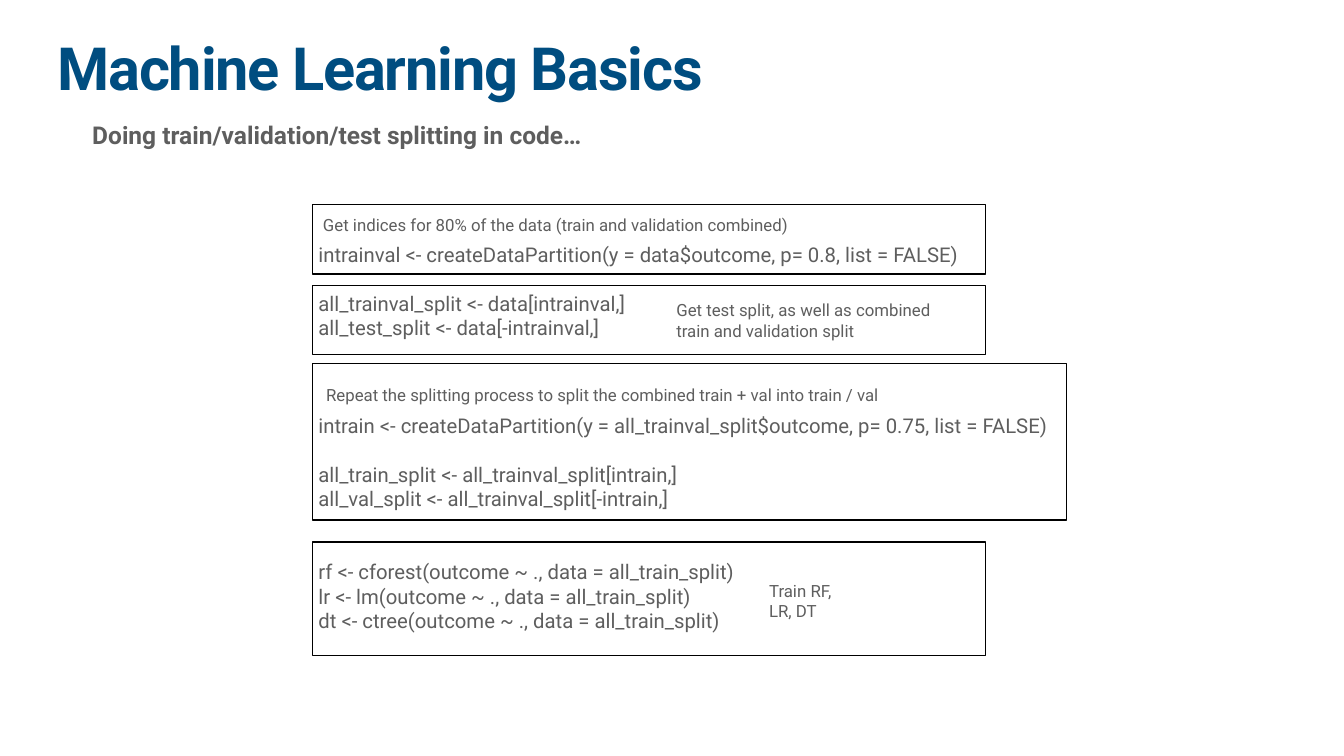
import pptx
import pptx.util
import pptx.dml.color
import pptx.enum.shapes
import pptx.enum.text

NAVY = pptx.dml.color.RGBColor(0x00, 0x4D, 0x80)
GREY = pptx.dml.color.RGBColor(0x5E, 0x5E, 0x5E)
BLACK = pptx.dml.color.RGBColor(0x00, 0x00, 0x00)

SLIDE_WIDTH = pptx.util.Inches(26.67)
SLIDE_HEIGHT = pptx.util.Inches(15)
COLUMN = SLIDE_WIDTH / 100
ROW = SLIDE_HEIGHT / 100
INSET = pptx.util.Inches(0.06)
CODE_LINE = pptx.util.Pt(34.9)

TITLE_FONT = {"name": "Roboto", "size": pptx.util.Pt(85), "bold": True}
SUBTITLE_FONT = {"name": "Roboto", "size": pptx.util.Pt(35), "bold": True}
NOTE_FONT = {"name": "Roboto", "size": pptx.util.Pt(24), "bold": False}
CODE_FONT = {"name": "Roboto", "size": pptx.util.Pt(29), "bold": False}

TITLE_BOX = (4.05, 5.53, 90.1, 10.47)
SUBTITLE_BOX = (6.64, 15.47, 84.89, 4.6)
STEPS_BOX = (23.25, 27.07, 56.09, 59.67)
NARROW = 50.09

STEPS = [
    ((0, NARROW, 9.2), (0.56, 1, 41.54, 3.33),
     "Get indices for 80% of the data (train and validation combined)"),
    ((10.66, NARROW, 9.2), (26.85, 1.6, 20.02, 6.07),
     "Get test split, as well as combined train and validation split"),
    ((21, 56.09, 20.73), (0.79, 2.47, 45.48, 3.33),
     "Repeat the splitting process to split the combined train + val into train / val"),
    ((44.6, NARROW, 15.07), (33.75, 4.8, 6.19, 6.07), "Train RF, LR, DT"),
]

CODE = [
    (0, ["intrainval <- createDataPartition(y = data$outcome, p= 0.8, list = FALSE)"]),
    (1, ["all_trainval_split <- data[intrainval,]",
         "all_test_split <- data[-intrainval,]"]),
    (3, ["intrain <- createDataPartition(y = all_trainval_split$outcome, p= 0.75, list = FALSE)"]),
    (1, ["all_train_split <- all_trainval_split[intrain,]",
         "all_val_split <- all_trainval_split[-intrain,]"]),
    (2, ["rf <- cforest(outcome ~ ., data = all_train_split)",
         "lr <- lm(outcome ~ ., data = all_train_split)",
         "dt <- ctree(outcome ~ ., data = all_train_split)"]),
]


def on_grid(box):
    left, top, width, height = box
    return [round(n) for n in (left * COLUMN, top * ROW, width * COLUMN, height * ROW)]


def set_all(target, values):
    for key, value in values.items():
        setattr(target, key, value)


def set_frame(frame, anchor, fit, wrap=True):
    set_all(frame, {"margin_left": INSET, "margin_right": INSET,
                    "margin_top": INSET, "margin_bottom": INSET,
                    "vertical_anchor": anchor, "auto_size": fit, "word_wrap": wrap})


def write(paragraph, text, font, color):
    run = paragraph.add_run()
    run.text = text
    set_all(run.font, font)
    run.font.color.rgb = color
    return run


def add_text_frame(slide, box, wrap=True):
    frame = slide.shapes.add_textbox(*on_grid(box)).text_frame
    set_frame(frame, pptx.enum.text.MSO_ANCHOR.MIDDLE,
              pptx.enum.text.MSO_AUTO_SIZE.SHAPE_TO_FIT_TEXT, wrap)
    return frame


def add_label(slide, box, text, font):
    write(add_text_frame(slide, box).paragraphs[0], text, font, GREY)


def place_title(slide, box):
    title = slide.shapes.title
    title.left, title.top, title.width, title.height = on_grid(box)
    set_frame(title.text_frame, pptx.enum.text.MSO_ANCHOR.TOP,
              pptx.enum.text.MSO_AUTO_SIZE.NONE)
    heading = title.text_frame.paragraphs[0]
    set_all(heading, {"alignment": pptx.enum.text.PP_ALIGN.LEFT, "line_spacing": 0.8})
    run = write(heading, "Machine Learning Basics", TITLE_FONT, NAVY)
    run.font._element.set("spc", "-170")


def add_card(slide, box):
    card = slide.shapes.add_shape(pptx.enum.shapes.MSO_SHAPE.RECTANGLE, *on_grid(box))
    card.shadow.inherit = False
    card.fill.background()
    card.line.color.rgb = BLACK
    card.line.width = pptx.util.Pt(2)


def add_code(slide, box):
    frame = add_text_frame(slide, box, wrap=False)
    paragraph = frame.paragraphs[0]
    for gap, lines in CODE:
        for number, line in enumerate(lines):
            if paragraph.runs:
                paragraph = frame.add_paragraph()
            if gap and number == 0:
                paragraph.space_before = gap * CODE_LINE
            write(paragraph, line, CODE_FONT, GREY)


def add_steps(slide, box):
    left, top, width, height = box
    add_code(slide, (left + 0.22, top + 4.53, width - 0.45, height - 7.14))
    for (card_row, card_width, card_height), (dx, dy, note_width, note_height), note in STEPS:
        card_top = top + card_row
        add_card(slide, (left, card_top, card_width, card_height))
        add_label(slide, (left + dx, card_top + dy, note_width, note_height), note, NOTE_FONT)


def main():
    deck = pptx.Presentation()
    deck.slide_width, deck.slide_height = SLIDE_WIDTH, SLIDE_HEIGHT
    slide = deck.slides.add_slide(deck.slide_layouts[5])
    place_title(slide, TITLE_BOX)
    add_label(slide, SUBTITLE_BOX, "Doing train/validation/test splitting in code…", SUBTITLE_FONT)
    add_steps(slide, STEPS_BOX)
    deck.save("out.pptx")


if __name__ == "__main__":
    main()
